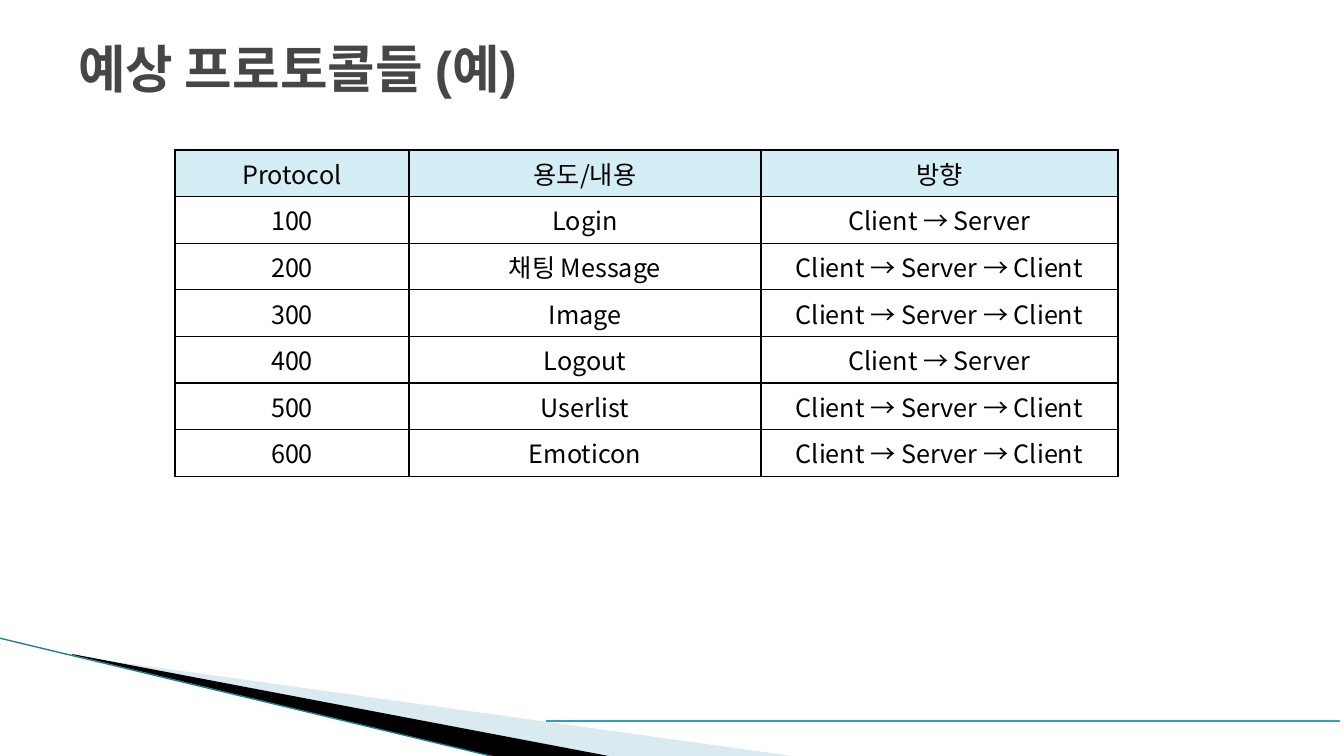
"""Build the slide listing the expected chat protocols."""
from lxml.etree import SubElement
from pptx import Presentation
from pptx.dml.color import RGBColor
from pptx.enum.shapes import MSO_CONNECTOR
from pptx.enum.text import MSO_ANCHOR, MSO_AUTO_SIZE, PP_ALIGN
from pptx.oxml import parse_xml
from pptx.oxml.ns import nsdecls, qn
from pptx.util import Pt

SCALE = 914400 / 100.8
COLORS = {
    "title": "464646",
    "ink": "000000",
    "header": "D3EEF5",
    "wedge": "A0CBDC",
    "edge": "1F7C92",
    "rule": "2DA2BF",
}
BODY_FONT = "Noto Sans CJK KR"
ONE_WAY = "Client → Server"
RELAYED = "Client → Server → Client"
ROWS = [
    ("Protocol", "용도/내용", "방향"),
    ("100", "Login", ONE_WAY),
    ("200", "채팅 Message", RELAYED),
    ("300", "Image", RELAYED),
    ("400", "Logout", ONE_WAY),
    ("500", "Userlist", RELAYED),
    ("600", "Emoticon", RELAYED),
]
COLUMN_WIDTHS = (234, 352, 357)
ROW_HEIGHT = 41


def px(length):
    return round(length * SCALE)


def color(name):
    return RGBColor.from_string(COLORS[name])


def style_span(span, size, font, color_name, bold=False):
    span.font.size = Pt(size)
    span.font.name = font
    span.font.bold = bold
    span.font.color.rgb = color(color_name)
    east_asian = SubElement(span.font._element, qn("a:ea"))
    east_asian.set("typeface", BODY_FONT)


def add_wedge(page, points, color_name, opacity=100):
    builder = page.shapes.build_freeform(*points[0], scale=SCALE)
    builder.add_line_segments(points[1:], close=True)
    wedge = builder.convert_to_shape()
    wedge.shadow.inherit = False
    wedge.line.fill.background()
    wedge.fill.solid()
    wedge.fill.fore_color.rgb = color(color_name)
    if opacity < 100:
        tint = wedge._element.spPr.find(".//" + qn("a:srgbClr"))
        SubElement(tint, qn("a:alpha")).set("val", str(opacity * 1000))


def add_line(page, start, end, color_name, width):
    line = page.shapes.add_connector(
        MSO_CONNECTOR.STRAIGHT, *map(px, start + end))
    line.line.color.rgb = color(color_name)
    line.line.width = Pt(width)
    SubElement(line._element.spPr, qn("a:effectLst"))


def set_title(page, text):
    title = page.shapes.title
    title.left, title.top, title.width, title.height = map(px, (68, 30, 1210, 75))
    frame = title.text_frame
    frame.text = text
    frame.auto_size = MSO_AUTO_SIZE.NONE
    frame.vertical_anchor = MSO_ANCHOR.MIDDLE
    para = frame.paragraphs[0]
    para.alignment = PP_ALIGN.LEFT
    style_span(para.runs[0], 36.9, "Arial", "title", bold=True)


def add_borders(cell):
    properties = cell._tc.get_or_add_tcPr()
    for side in ("lnL", "lnR", "lnT", "lnB"):
        properties.append(parse_xml(
            f'<a:{side} {nsdecls("a")} w="{Pt(1)}"><a:solidFill>'
            f'<a:srgbClr val="{COLORS["ink"]}"/></a:solidFill></a:{side}>'))


def fill_cell(cell, text, is_header):
    cell.text = text
    para = cell.text_frame.paragraphs[0]
    para.alignment = PP_ALIGN.CENTER
    style_span(para.runs[0], 18, BODY_FONT, "ink")
    add_borders(cell)
    if is_header:
        cell.fill.solid()
        cell.fill.fore_color.rgb = color("header")
    else:
        cell.fill.background()


def add_protocol_table(page, left, top):
    table = page.shapes.add_table(
        len(ROWS), len(COLUMN_WIDTHS), px(left), px(top),
        px(sum(COLUMN_WIDTHS)), px(ROW_HEIGHT * len(ROWS))).table
    table.first_row = table.horz_banding = False
    for column, width in zip(table.columns, COLUMN_WIDTHS):
        column.width = px(width)
    for row_index, texts in enumerate(ROWS):
        table.rows[row_index].height = px(ROW_HEIGHT)
        for column_index, text in enumerate(texts):
            fill_cell(table.cell(row_index, column_index), text, row_index == 0)


def main():
    deck = Presentation()
    deck.slide_width, deck.slide_height = px(1344), px(756)
    page = deck.slides.add_slide(deck.slide_layouts[5])
    add_wedge(page, [(74, 656), (799, 757), (613, 757), (74, 655)], "wedge", 40)
    add_wedge(page, [(72, 654), (614, 757), (500, 758), (73, 655)], "ink")
    add_line(page, (-1, 638), (499, 758), "edge", 0.95)
    add_line(page, (546, 721), (1340, 721), "rule", 1.5)
    set_title(page, "예상 프로토콜들 (예)")
    add_protocol_table(page, 175, 150)
    deck.save("out.pptx")


if __name__ == "__main__":
    main()
